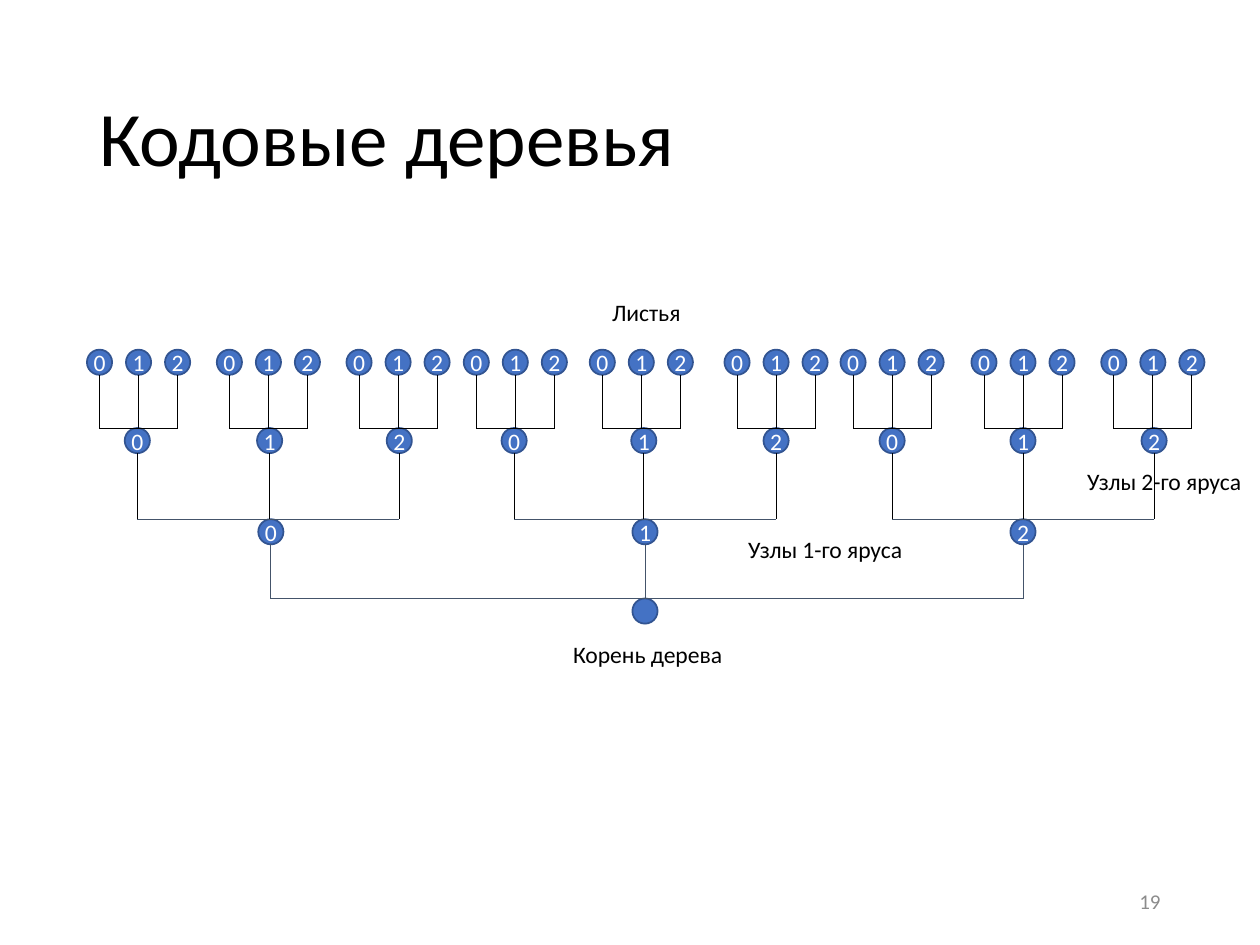
from lxml import etree
from pptx import Presentation
from pptx.dml.color import RGBColor
from pptx.enum import shapes, text
from pptx.oxml.ns import qn
from pptx.util import Pt

NODE = 14.4
LEAF_GAP = 22.3
LEAF_Y, TIER2_Y, TIER1_Y, ROOT_Y = 199.8, 244.6, 296.7, 342
ROOT_X = 368.6
TIER1_X = [154.8, 368.6, 584.6]
TIER2_X = [78.5, 154.1, 228.2, 293.8, 367.9, 443.5, 509.8, 584.6, 659.5]
LEAF_GROUP_X = [79.2, 153.4, 227.5, 294.5, 366.5, 443.5, 509.8, 584.6, 658.8]
BLACK, SLATE = "000000", "44546A"


def write(box, words, size, color, align, anchor=text.MSO_ANCHOR.TOP, margins=(7.2, 3.6)):
    """Put one formatted line of text into a shape; margins are side and top/bottom."""
    frame = box.text_frame
    frame.text = words
    frame.auto_size = text.MSO_AUTO_SIZE.NONE
    frame.vertical_anchor = anchor
    frame.margin_left = frame.margin_right = Pt(margins[0])
    frame.margin_top = frame.margin_bottom = Pt(margins[1])
    para = frame.paragraphs[0]
    para.alignment = align
    for span in para.runs:
        span.font.name = "Calibri"
        span.font.size = Pt(size)
        span.font.color.rgb = RGBColor.from_string(color)


def draw_line(x1, y1, x2, y2, color):
    line = page.shapes.add_connector(
        shapes.MSO_CONNECTOR.STRAIGHT, Pt(x1), Pt(y1), Pt(x2), Pt(y2))
    line.line.color.rgb = RGBColor.from_string(color)
    line.line.width = Pt(0.5)
    etree.SubElement(line._element.spPr, qn("a:effectLst"))


deck = Presentation()
deck.slide_width, deck.slide_height = Pt(720), Pt(540)
page = deck.slides.add_slide(deck.slide_layouts[5])

title = page.shapes.title
title.left, title.top, title.width, title.height = Pt(49.5), Pt(28.8), Pt(621), Pt(104.4)
write(title, "Кодовые деревья", 44, BLACK, text.PP_ALIGN.LEFT, text.MSO_ANCHOR.MIDDLE)
title.text_frame.paragraphs[0].line_spacing = 0.9

# Nodes: centre x, top y, digit
nodes = [(ROOT_X, ROOT_Y, "")]
nodes += [(x, TIER1_Y, str(i)) for i, x in enumerate(TIER1_X)]
nodes += [(x, TIER2_Y, str(i % 3)) for i, x in enumerate(TIER2_X)]
leaf_groups = [[x - LEAF_GAP, x, x + LEAF_GAP] for x in LEAF_GROUP_X]
nodes += [(x, LEAF_Y, str(i)) for group in leaf_groups for i, x in enumerate(group)]
for x, y, digit in nodes:
    node = page.shapes.add_shape(
        shapes.MSO_SHAPE.OVAL, Pt(x - NODE / 2), Pt(y), Pt(NODE), Pt(NODE))
    node.shadow.inherit = False
    node.fill.solid()
    node.fill.fore_color.rgb = RGBColor.from_string("4472C4")
    node.line.color.rgb = RGBColor.from_string("325491")
    node.line.width = Pt(1)
    if digit:
        write(node, digit, 13.5, "FFFFFF", text.PP_ALIGN.CENTER,
              text.MSO_ANCHOR.MIDDLE, margins=(0, 0))

# Brackets: children's x, children's top, bar height, stem colour, bar colour
brackets = [(TIER1_X, TIER1_Y, ROOT_Y, SLATE, SLATE)]
brackets += [(TIER2_X[i:i + 3], TIER2_Y, TIER1_Y, BLACK, SLATE) for i in (0, 3, 6)]
brackets += [(group, LEAF_Y, TIER2_Y + 0.5, BLACK, BLACK) for group in leaf_groups]
for children, top, bar, stem_color, bar_color in brackets:
    for x in children:
        draw_line(x, top + NODE, x, bar, stem_color)
    draw_line(children[0], bar, children[-1], bar, bar_color)

labels = [
    ("Корень дерева", 320.4, 362.2, 101.5),
    ("Узлы 1-го яруса", 420.5, 302.4, 103.7),
    ("Узлы 2-го яруса", 614.2, 263.5, 103.7),
    ("Листья", 342.7, 167, 54),
]
for words, x, y, width in labels:
    label = page.shapes.add_textbox(Pt(x), Pt(y), Pt(width), Pt(23.8))
    write(label, words, 13.5, BLACK, text.PP_ALIGN.LEFT)
    label.text_frame.word_wrap = False

number = page.shapes.add_textbox(Pt(508.3), Pt(500.4), Pt(162), Pt(28.8))
write(number, "19", 12, "8C8C8C", text.PP_ALIGN.RIGHT, text.MSO_ANCHOR.MIDDLE)
number.text_frame.word_wrap = True

deck.save("out.pptx")
